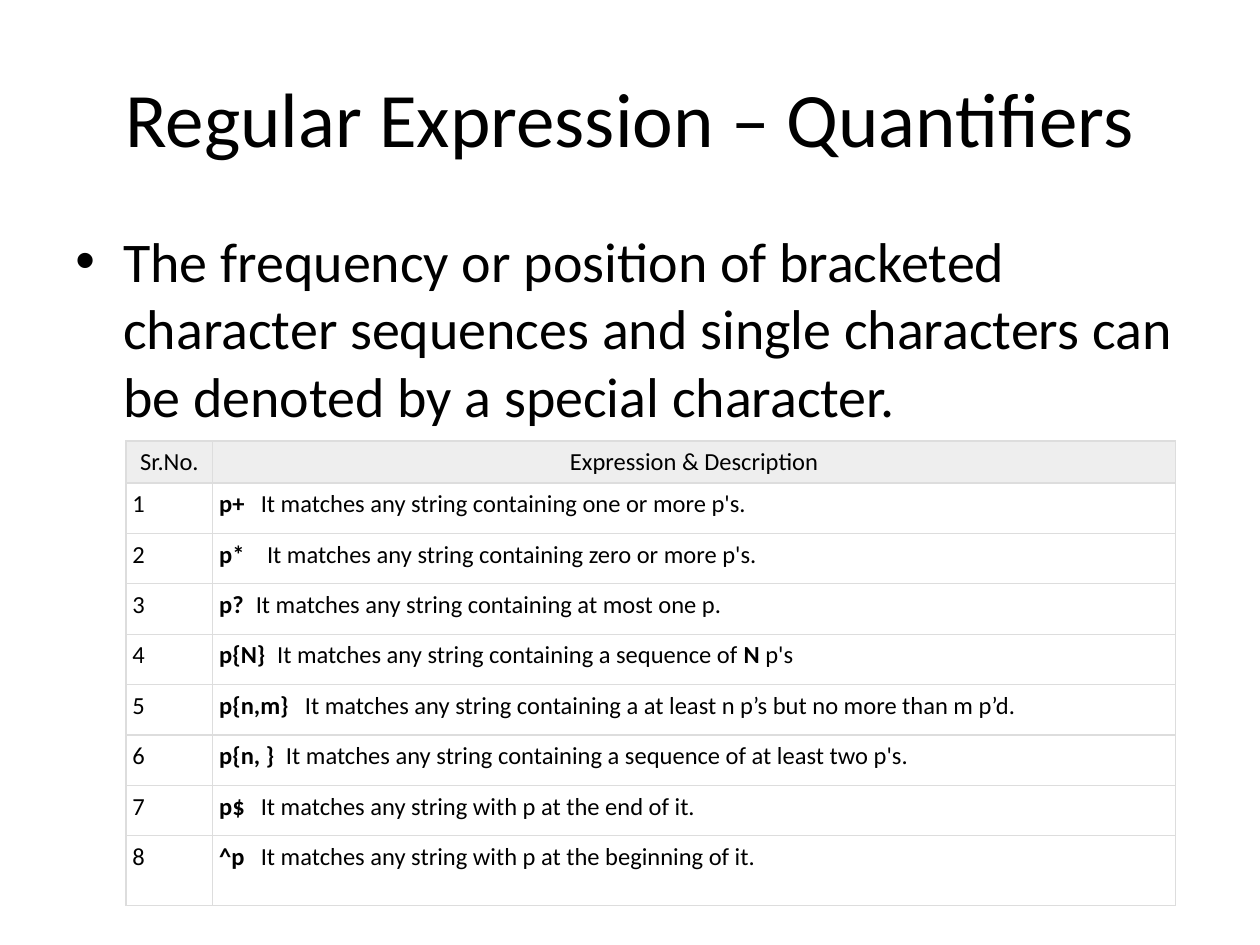
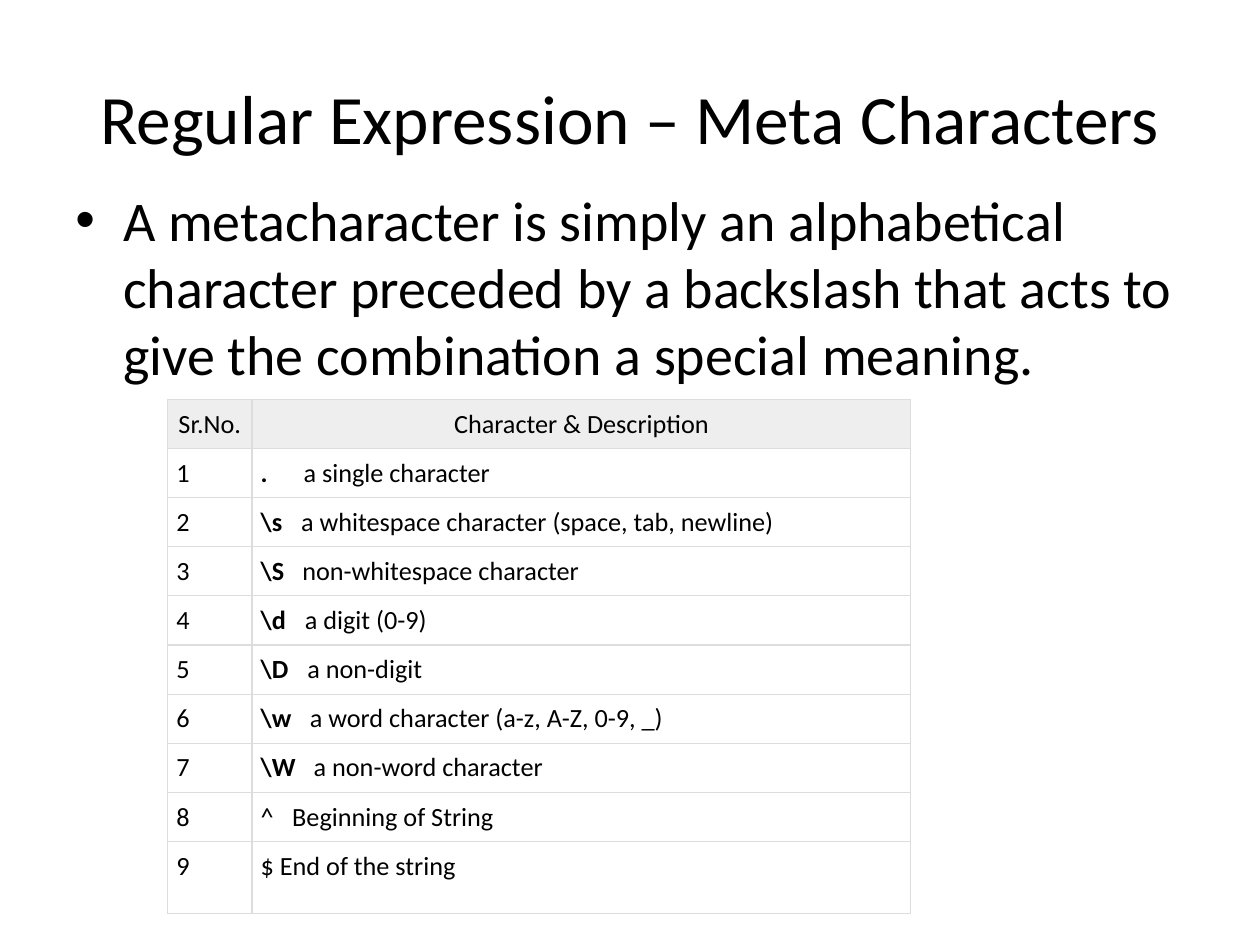
from lxml.etree import SubElement
from pptx import Presentation
from pptx.dml.color import RGBColor
from pptx.enum.text import MSO_ANCHOR, MSO_AUTO_SIZE, PP_ALIGN
from pptx.oxml.ns import qn
from pptx.util import Inches, Pt

THEME = {
    "font": "Calibri",
    "text": RGBColor(0x00, 0x00, 0x00),
    "header_fill": RGBColor(0xEE, 0xEE, 0xEE),
    "border": "DDDDDD",
    "border_width": Pt(0.75),
    "body_size": 32,
}
TITLE_ONLY = 5

# Each table row: tab stop in inches, then pieces that alternate bold and plain.
SLIDES = [
    {
        "title": "Regular Expression – Quantifiers",
        "title_size": 44,
        "body": "The frequency or position of bracketed character sequences and "
                "single characters can be denoted by a special character.",
        "body_top": 1.75,
        "table_at": (1, 3.5),
        "columns": (0.69, 7.64),
        "heights": {"header": 0.24, "row": 0.4, "last": 0.55},
        "inset": 0.05,
        "table_size": 14,
        "heading": "Expression & Description",
        "rows": [
            (0.33, "p+", "\tIt matches any string containing one or more p's."),
            (0.38, "p*", "\tIt matches any string containing zero or more p's."),
            (0.29, "p?", "\tIt matches any string containing at most one p."),
            (0.46, "p{N}", "\tIt matches any string containing a sequence of\u00a0",
             "N", "\u00a0p's"),
            (0.68, "p{n,m}", "\tIt matches any string containing a at least n p’s "
                             "but no more than m p’d."),
            (0.53, "p{n, }", "\tIt matches any string containing a sequence of "
                             "at least two p's."),
            (0.33, "p$", "\tIt matches any string with p at the end of it."),
            (0.33, "^p", "\tIt matches any string with p at the beginning of it."),
        ],
    },
    {
        "title": "Regular Expression – Meta Characters",
        "title_size": 39.6,
        "body": "A metacharacter is simply an alphabetical character preceded by a "
                "backslash that acts to give the combination a special meaning.",
        "body_top": 1.42,
        "table_at": (1.33, 3.17),
        "columns": (0.67, 5.23),
        "heights": {"header": 0.36, "row": 0.36, "last": 0.57},
        "inset": 0.07,
        "table_size": 15,
        "heading": "Character & Description",
        "rows": [
            (0.34, ".", "\ta single character"),
            (0.32, "\\s", "\ta whitespace character (space, tab, newline)"),
            (0.33, "\\S", "\tnon-whitespace character"),
            (0.35, "\\d", "\ta digit (0-9)"),
            (0.37, "\\D", "\ta non-digit"),
            (0.39, "\\w", "\ta word character (a-z, A-Z, 0-9, _)"),
            (0.42, "\\W", "\ta non-word character"),
            (0.25, "", "^\tBeginning of String"),
            (None, "", "$ End of the string"),
        ],
    },
]


def write(para, pieces, size, align):
    """Fill a paragraph with pieces that alternate bold and plain."""
    para.alignment = align
    for index, piece in enumerate(pieces):
        if not piece:
            continue
        span = para.add_run()
        span.text = piece
        span.font.color.rgb = THEME["text"]
        formats = {"name": THEME["font"], "size": Pt(size), "bold": index % 2 == 0}
        for name, value in formats.items():
            setattr(span.font, name, value)


def style_cell(cell, inset, is_header):
    """Give a table cell its margins, fill and four borders."""
    for side in ("left", "right", "top", "bottom"):
        setattr(cell, f"margin_{side}", Inches(inset))
    if is_header:
        cell.fill.solid()
        cell.fill.fore_color.rgb = THEME["header_fill"]
    else:
        cell.fill.background()
    properties = cell._tc.get_or_add_tcPr()
    for index, edge in enumerate(("a:lnL", "a:lnR", "a:lnT", "a:lnB")):
        line = SubElement(properties, qn(edge), w=str(THEME["border_width"]))
        fill = SubElement(line, qn("a:solidFill"))
        SubElement(fill, qn("a:srgbClr"), val=THEME["border"])
        properties.insert(index, line)


deck = Presentation()
deck.slide_width = Inches(10)
deck.slide_height = Inches(7.5)

for content in SLIDES:
    page = deck.slides.add_slide(deck.slide_layouts[TITLE_ONLY])

    title = page.shapes.title
    placement = {"left": 0.5, "top": 0.3, "width": 9, "height": 1.25}
    for name, value in placement.items():
        setattr(title, name, Inches(value))
    title.text_frame.auto_size = MSO_AUTO_SIZE.NONE
    title.text_frame.vertical_anchor = MSO_ANCHOR.MIDDLE
    write(title.text_frame.paragraphs[0], ("", content["title"]),
          content["title_size"], PP_ALIGN.CENTER)

    box = page.shapes.add_textbox(Inches(0.5), Inches(content["body_top"]),
                                  Inches(9), Inches(4.95))
    box.text_frame.word_wrap = True
    para = box.text_frame.paragraphs[0]
    write(para, ("", content["body"]), THEME["body_size"], PP_ALIGN.LEFT)
    para.space_before = Pt(THEME["body_size"] * 0.2)
    bullet = para._p.get_or_add_pPr()
    bullet.set("marL", str(Inches(0.38)))
    bullet.set("indent", str(Inches(-0.38)))
    SubElement(bullet, qn("a:buFont"), typeface="Arial")
    SubElement(bullet, qn("a:buChar"), char="•")

    rows, columns, heights = content["rows"], content["columns"], content["heights"]
    row_heights = [heights["header"], *[heights["row"]] * (len(rows) - 1),
                   heights["last"]]
    left, top = content["table_at"]
    table = page.shapes.add_table(
        len(row_heights), len(columns), Inches(left), Inches(top),
        Inches(sum(columns)), Inches(sum(row_heights))).table
    table.first_row = table.horz_banding = False
    for column, width in zip(table.columns, columns):
        column.width = Inches(width)
    for row, height in zip(table.rows, row_heights):
        row.height = Inches(height)

    size = content["table_size"]
    for index, row in enumerate(table.rows):
        number, description = row.cells
        for cell in (number, description):
            style_cell(cell, content["inset"], index == 0)
        number_para = number.text_frame.paragraphs[0]
        para = description.text_frame.paragraphs[0]
        if index == 0:
            write(number_para, ("", "Sr.No."), size, PP_ALIGN.CENTER)
            write(para, ("", content["heading"]), size, PP_ALIGN.CENTER)
            continue
        tab_stop, *pieces = rows[index - 1]
        write(number_para, ("", str(index)), size, PP_ALIGN.LEFT)
        write(para, pieces, size, PP_ALIGN.JUSTIFY)
        if tab_stop:
            tabs = SubElement(para._p.get_or_add_pPr(), qn("a:tabLst"))
            SubElement(tabs, qn("a:tab"), pos=str(Inches(tab_stop)), algn="l")

deck.save("out.pptx")
